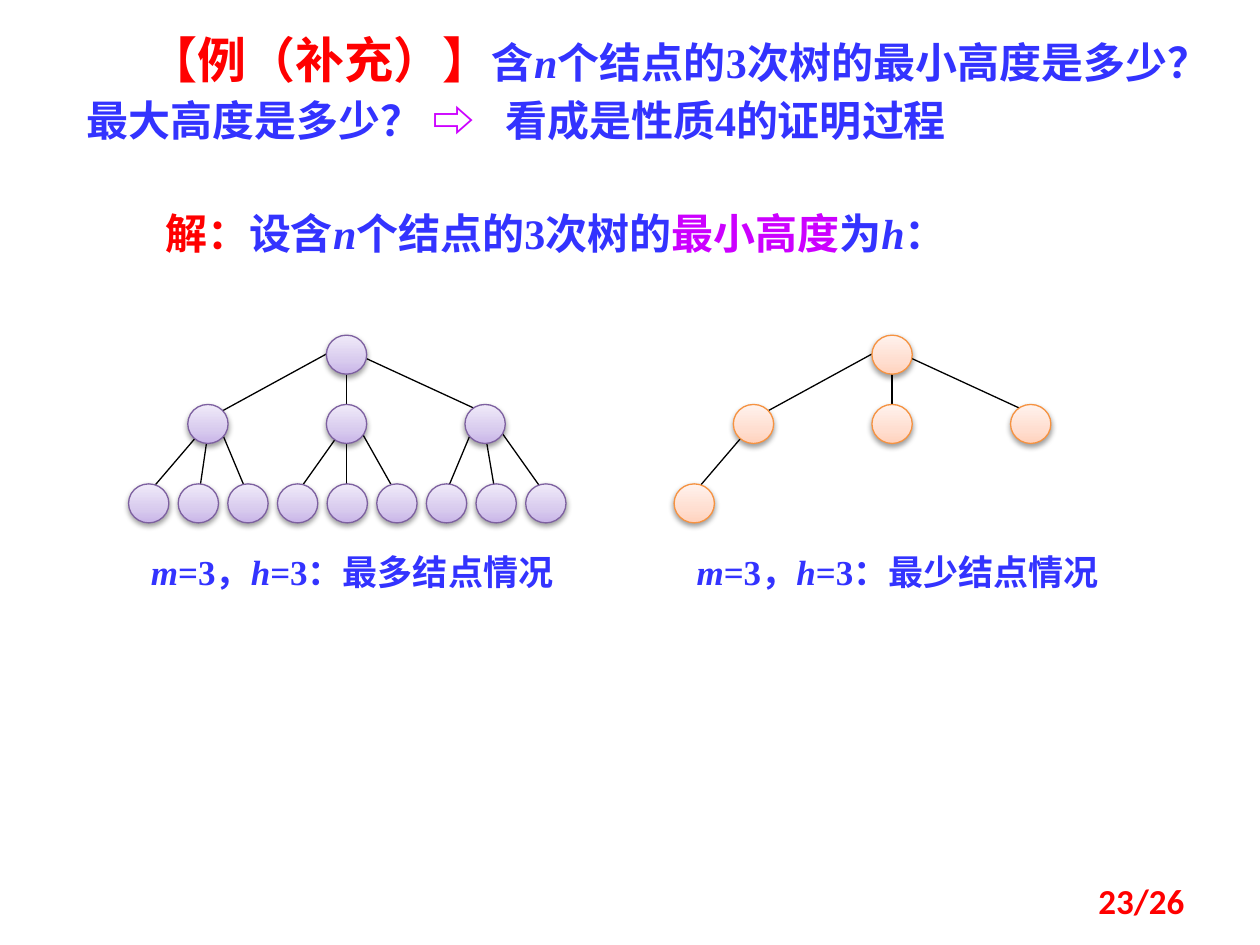
from lxml import etree
from pptx import Presentation
from pptx.dml.color import RGBColor
from pptx.enum.shapes import MSO_CONNECTOR, MSO_SHAPE
from pptx.enum.text import MSO_ANCHOR, MSO_AUTO_SIZE, PP_ALIGN
from pptx.oxml import parse_xml
from pptx.oxml.ns import nsdecls, qn
from pptx.util import Inches, Pt

RED = RGBColor(0xFF, 0x00, 0x00)
BLUE = RGBColor(0x33, 0x33, 0xFF)
MAGENTA = RGBColor(0xCC, 0x00, 0xFF)
BLACK = RGBColor(0x00, 0x00, 0x00)
PURPLE = RGBColor(0x7D, 0x60, 0xA0)
ORANGE = RGBColor(0xF6, 0x92, 0x40)
PURPLE_STOPS = [(0, RGBColor(0xC9, 0xB5, 0xE8)), (35, RGBColor(0xD8, 0xCB, 0xEE)),
                (100, RGBColor(0xF0, 0xEA, 0xF9))]
ORANGE_STOPS = [(0, RGBColor(0xFF, 0xD2, 0xBD)), (35, RGBColor(0xFF, 0xDE, 0xD0)),
                (100, RGBColor(0xFF, 0xF2, 0xED))]
SERIF = "Times New Roman"
LEVEL_TOPS = (2.66, 3.21, 3.84)

NODES = ([(1.57, LEVEL_TOPS[0])]
         + [(0.47 + 1.1 * i, LEVEL_TOPS[1]) for i in range(3)]
         + [(0.394 * i, LEVEL_TOPS[2]) for i in range(9)])
EDGES = [
    (1.57, 2.81, 0.71, 3.28), (1.73, 2.89, 1.73, 3.28), (1.81, 2.81, 2.83, 3.28),
    (0.63, 3.36, 0.16, 3.91), (0.63, 3.44, 0.55, 3.99), (0.71, 3.36, 0.94, 3.91),
    (1.73, 3.36, 1.34, 3.91), (1.73, 3.44, 1.73, 3.84), (1.81, 3.36, 2.12, 3.91),
    (2.75, 3.36, 2.52, 3.91), (2.83, 3.44, 2.91, 3.91), (2.91, 3.36, 3.30, 3.91),
]


def place(box, left, top, width, height):
    box.left, box.top = Inches(left), Inches(top)
    box.width, box.height = Inches(width), Inches(height)


def start_text(box, align=PP_ALIGN.LEFT, anchor=MSO_ANCHOR.TOP):
    frame = box.text_frame
    frame.word_wrap = True
    frame.auto_size = MSO_AUTO_SIZE.NONE
    frame.vertical_anchor = anchor
    para = frame.paragraphs[0]
    para.alignment = align
    para.space_before = Pt(0)
    return para


def indent_first_line(para, indent):
    properties = para._p.get_or_add_pPr()
    properties.set("marL", "0")
    properties.set("indent", str(Inches(indent)))
    etree.SubElement(properties, qn("a:buNone"))


def add_span(para, text, size, color=BLUE, italic=False, font=SERIF):
    span = para.add_run()
    span.text = text
    span.font.name = font
    span.font.size = Pt(size)
    span.font.bold = True
    span.font.italic = italic
    span.font.color.rgb = color
    return span


def add_question(box):
    place(box, 0.59, 0.21, 8.78, 0.99)
    para = start_text(box, PP_ALIGN.JUSTIFY)
    para.line_spacing = Pt(32)
    indent_first_line(para, 0.49)
    add_span(para, "【例（补充）】", 28, RED)
    add_span(para, "含", 24)
    add_span(para, "n", 24, italic=True)
    add_span(para, "个结点的3次树的最小高度是多少？最大高度是多少？ ", 24)
    add_span(para, "⇨", 24, MAGENTA)
    gap = add_span(para, " ", 24)
    gap._r.get_or_add_rPr().set("spc", "1200")
    add_span(para, "看成是性质4的证明过程", 24)


def add_solution(box):
    place(box, 0.78, 1.56, 7.15, 0.55)
    para = start_text(box, PP_ALIGN.JUSTIFY)
    para.line_spacing = 1.1
    indent_first_line(para, 0.43)
    add_span(para, "解：", 24, RED)
    add_span(para, "设含", 24)
    add_span(para, "n", 24, italic=True)
    add_span(para, "个结点的3次树的", 24)
    add_span(para, "最小高度", 24, MAGENTA)
    add_span(para, "为", 24)
    add_span(para, "h", 24, italic=True)
    add_span(para, "：", 24)


def add_edge(group, left, x1, y1, x2, y2):
    edge = group.shapes.add_connector(
        MSO_CONNECTOR.STRAIGHT, Inches(left + x1), Inches(y1), Inches(left + x2), Inches(y2))
    edge.line.color.rgb = BLACK
    edge.line.width = Pt(0.75)
    etree.SubElement(edge._element.spPr, qn("a:effectLst"))


def add_node(group, left, top, outline, stops):
    node = group.shapes.add_shape(
        MSO_SHAPE.OVAL, Inches(left), Inches(top), Inches(0.32), Inches(0.31))
    node.line.color.rgb = outline
    node.line.width = Pt(0.75)
    stop_xml = "".join(
        f'<a:gs pos="{position * 1000}"><a:srgbClr val="{color}"/></a:gs>'
        for position, color in stops)
    gradient = parse_xml(
        f'<a:gradFill {nsdecls("a")} rotWithShape="1"><a:gsLst>{stop_xml}</a:gsLst>'
        '<a:lin ang="16200000" scaled="1"/></a:gradFill>')
    shadow = parse_xml(
        f'<a:effectLst {nsdecls("a")}><a:outerShdw blurRad="40000" dist="20000" '
        'dir="5400000" rotWithShape="0"><a:srgbClr val="000000"><a:alpha val="38000"/>'
        '</a:srgbClr></a:outerShdw></a:effectLst>')
    properties = node._element.spPr
    properties.find(qn("a:prstGeom")).addnext(gradient)
    properties.append(shadow)


def add_tree(page, left, nodes, edges, outline, stops, caption):
    group = page.shapes.add_group_shape()
    box = group.shapes.add_textbox(
        Inches(left + 0.08), Inches(4.32), Inches(3.7), Inches(0.44))
    para = start_text(box)
    add_span(para, "m", 20, italic=True)
    add_span(para, "=3，", 20)
    add_span(para, "h", 20, italic=True)
    add_span(para, "=3：" + caption, 20)
    for edge in edges:
        add_edge(group, left, *edge)
    for x, top in nodes:
        add_node(group, left + x, top, outline, stops)


def add_page_number(page):
    box = page.shapes.add_textbox(Inches(7.17), Inches(6.95), Inches(2.33), Inches(0.4))
    para = start_text(box, PP_ALIGN.RIGHT, MSO_ANCHOR.MIDDLE)
    add_span(para, "23/26", 20, RED, font="Calibri")


def main():
    deck = Presentation()
    deck.slide_width, deck.slide_height = Inches(10), Inches(7.5)
    page = deck.slides.add_slide(deck.slide_layouts[1])
    add_question(page.shapes.title)
    add_solution(page.placeholders[1])
    add_tree(page, 1.02, NODES, EDGES, PURPLE, PURPLE_STOPS, "最多结点情况")
    add_tree(page, 5.35, NODES[:5], EDGES[:4], ORANGE, ORANGE_STOPS, "最少结点情况")
    add_page_number(page)
    deck.save("out.pptx")


main()
